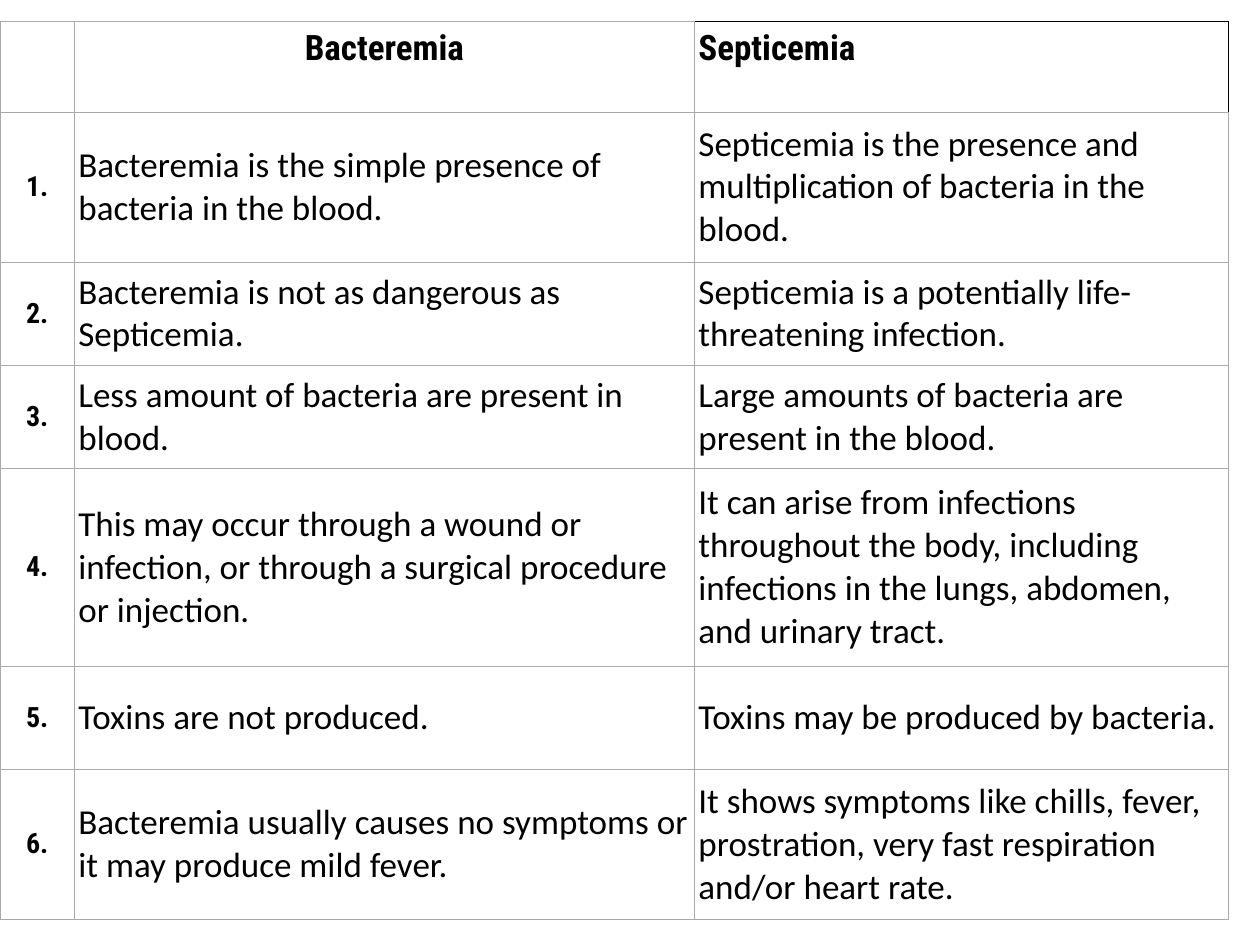
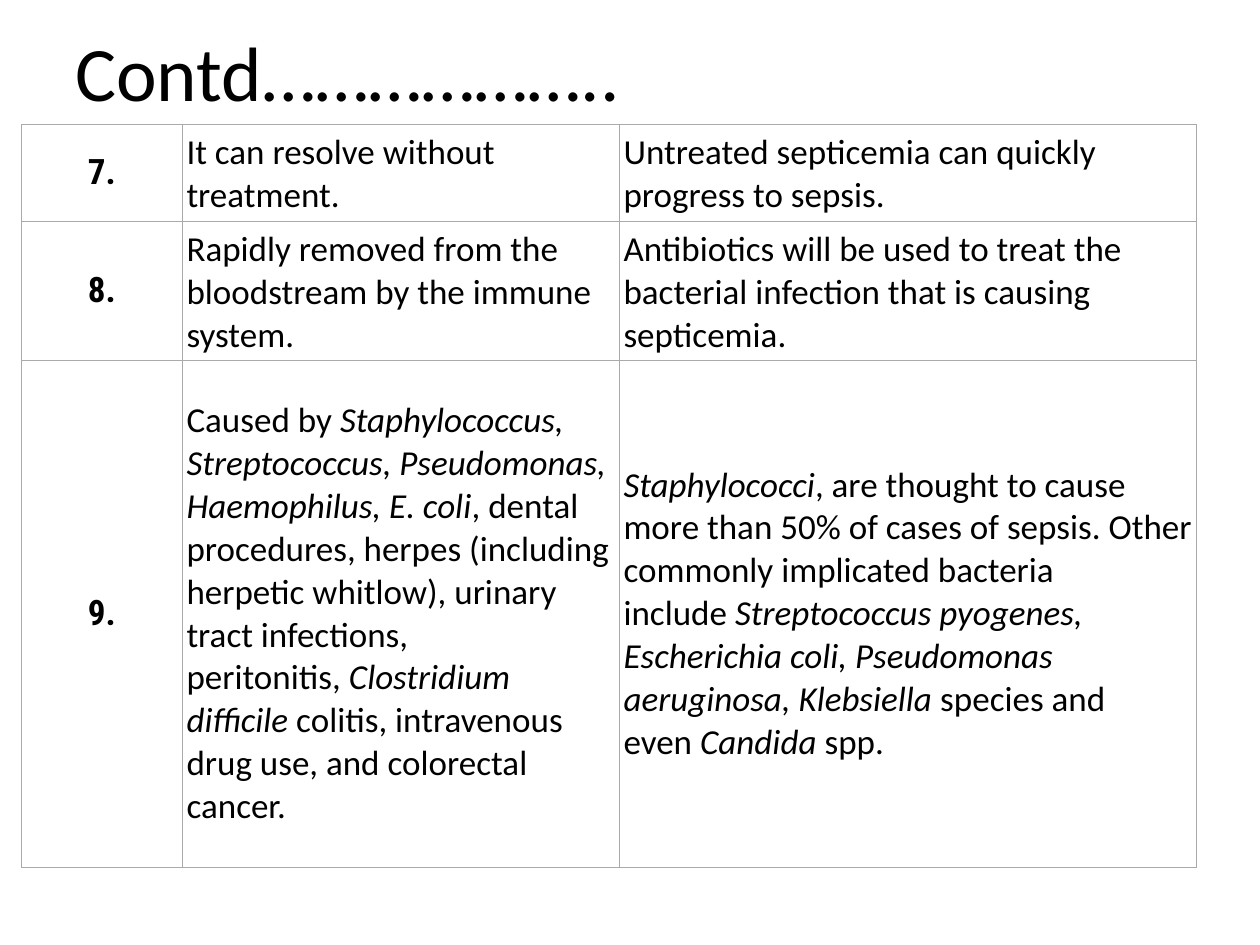
from dataclasses import dataclass

from lxml.etree import SubElement
from pptx import Presentation
from pptx.dml.color import RGBColor
from pptx.enum.text import MSO_ANCHOR, PP_ALIGN
from pptx.oxml.ns import qn
from pptx.util import Cm, Pt


@dataclass(frozen=True)
class Theme:
    black: str = "000000"
    white: str = "FFFFFF"
    grid: str = "AAAAAA"
    body_font: str = "Calibri"
    strong_font: str = "Roboto Condensed"
    title_size: int = 44
    body_size: int = 20
    small_size: int = 16
    grid_width: float = 0.34
    header_width: float = 0.45


theme = Theme()
NBSP = chr(160)  # no-break space keeps species names with the word before


def write_text(frame, text, size=theme.body_size, font=theme.body_font,
               bold=False, align=PP_ALIGN.LEFT):
    """Write one paragraph; parts between asterisks are italic."""
    frame.word_wrap = True
    paragraph = frame.paragraphs[0]
    paragraph.alignment = align
    for index, part in enumerate(text.split("*")):
        if part:
            run = paragraph.add_run()
            run.text = part
            run.font.name = font
            run.font.size = Pt(size)
            run.font.bold = bold
            run.font.italic = index % 2 == 1
            run.font.color.rgb = RGBColor.from_string(theme.black)


def draw_borders(cell, dark_sides=""):
    """Outline a cell in grey, with the sides in dark_sides in black."""
    properties = cell._tc.get_or_add_tcPr()
    for position, side in enumerate("LRTB"):
        dark = side in dark_sides
        width = theme.header_width if dark else theme.grid_width
        line = SubElement(properties, qn(f"a:ln{side}"), w=str(Pt(width)))
        fill = SubElement(line, qn("a:solidFill"))
        SubElement(fill, qn("a:srgbClr"), val=theme.black if dark else theme.grid)
        properties.insert(position, line)


# Table contents
first_rows = [
    ("", "Bacteremia", "Septicemia"),
    ("1.", "Bacteremia is the simple presence of bacteria in the blood.",
     "Septicemia is the presence and multiplication of bacteria in the blood."),
    ("2.", "Bacteremia is not as dangerous as Septicemia.",
     "Septicemia is a potentially life-threatening infection."),
    ("3.", "Less amount of bacteria are present in blood.",
     "Large amounts of bacteria are present in the blood."),
    ("4.", "This may occur through a wound or infection, or through a surgical "
     "procedure or injection.",
     "It can arise from infections throughout the body, including infections "
     "in the lungs, abdomen, and urinary tract."),
    ("5.", "Toxins are not produced.", "Toxins may be produced by bacteria."),
    ("6.", "Bacteremia usually causes no symptoms or it may produce mild fever.",
     "It shows symptoms like chills, fever, prostration, very fast respiration "
     "and/or heart rate."),
]
second_rows = [
    ("7.", "It can resolve without treatment.",
     "Untreated septicemia can quickly progress to sepsis."),
    ("8.", "Rapidly removed from the bloodstream by the immune system.",
     "Antibiotics will be used to treat the bacterial infection that is causing "
     "septicemia."),
    ("9.", f"Caused by{NBSP}*Staphylococcus, Streptococcus, Pseudomonas, "
     "Haemophilus, E. coli*, dental procedures, herpes (including herpetic "
     f"whitlow), urinary tract infections, peritonitis,{NBSP}*Clostridium "
     f"difficile*{NBSP}colitis, intravenous drug use, and colorectal cancer.",
     "*Staphylococci*, are thought to cause more than 50% of cases of sepsis. "
     f"Other commonly implicated bacteria include{NBSP}*Streptococcus pyogenes, "
     f"Escherichia coli, Pseudomonas aeruginosa, Klebsiella{NBSP}*species and "
     f"even{NBSP}*Candida*{NBSP}spp."),
]

# Each slide: title, table corner, column widths, row heights (cm), number size
slides = [
    ("", (0, 0.43), (1.5, 12.5, 10.77),
     (1.83, 3.02, 2.08, 2.08, 3.99, 2.08, 3.02), theme.small_size, first_rows),
    ("Contd………………..", (0.43, 2.51), (3.25, 8.81, 11.63),
     (1.9, 2.72, 10.21), theme.body_size, second_rows),
]

presentation = Presentation()
presentation.slide_width = Cm(25.4)
presentation.slide_height = Cm(19.05)

for title, (left, top), widths, heights, number_size, rows in slides:
    slide = presentation.slides.add_slide(presentation.slide_layouts[6])

    # Title
    if title:
        title_box = slide.shapes.add_textbox(Cm(1.27), Cm(0.76), Cm(22.86), Cm(1.35))
        title_box.text_frame.vertical_anchor = MSO_ANCHOR.MIDDLE
        write_text(title_box.text_frame, title, size=theme.title_size)

    # Comparison table
    table = slide.shapes.add_table(
        len(rows), len(widths), Cm(left), Cm(top),
        Cm(sum(widths)), Cm(sum(heights))).table
    table.first_row = table.horz_banding = False
    for column, width in zip(table.columns, widths):
        column.width = Cm(width)
    for row, height in zip(table.rows, heights):
        row.height = Cm(height)

    for row_index, texts in enumerate(rows):
        is_header = not texts[0]
        for column_index, text in enumerate(texts):
            cell = table.cell(row_index, column_index)
            is_number = column_index == 0
            is_last_header = is_header and column_index == 2
            cell.margin_left = cell.margin_right = Cm(0.08)
            cell.margin_top = cell.margin_bottom = Cm(0.13)
            cell.vertical_anchor = MSO_ANCHOR.TOP if is_header else MSO_ANCHOR.MIDDLE
            if is_last_header:
                cell.fill.background()
            else:
                cell.fill.solid()
                cell.fill.fore_color.rgb = RGBColor.from_string(theme.white)
            draw_borders(cell, dark_sides="TR" if is_last_header else "")

            strong = is_header or is_number
            centred = strong and not is_last_header
            write_text(cell.text_frame, text,
                       size=number_size if is_number else theme.body_size,
                       font=theme.strong_font if strong else theme.body_font,
                       bold=strong,
                       align=PP_ALIGN.CENTER if centred else PP_ALIGN.LEFT)

presentation.save("out.pptx")
